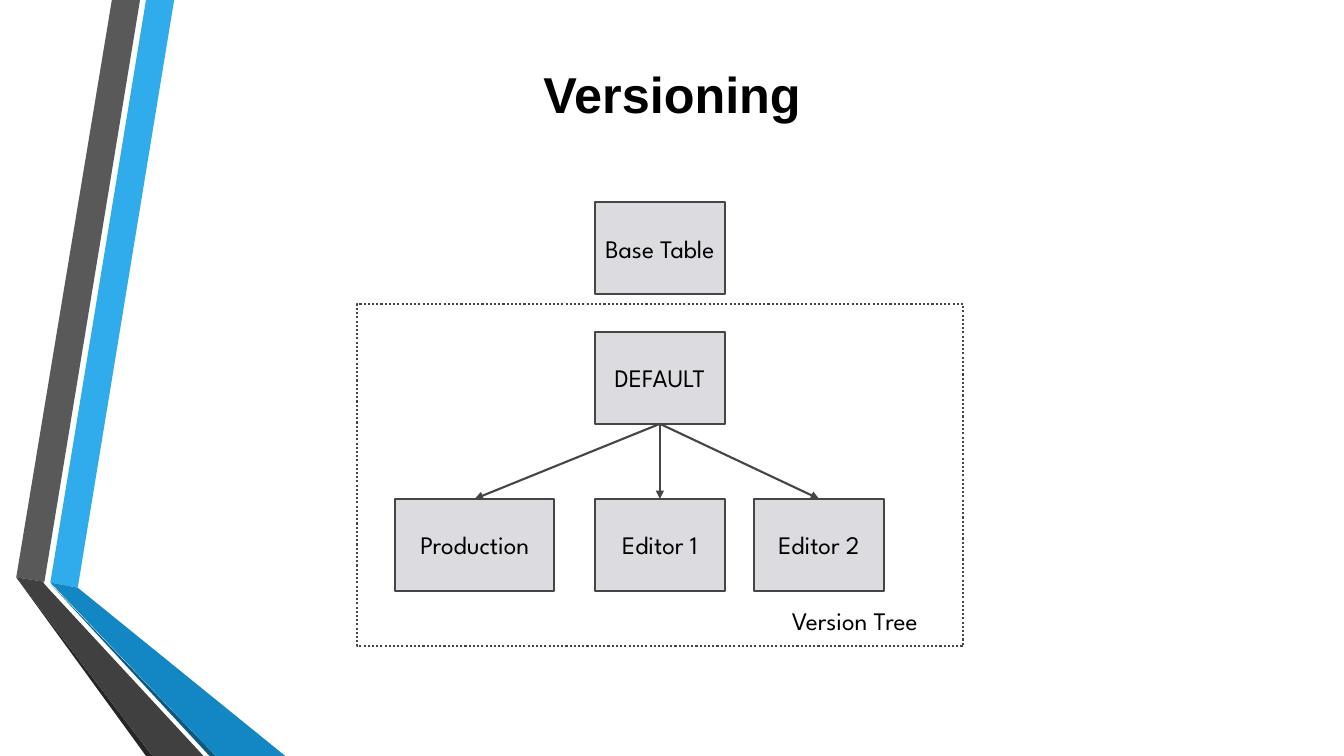
from dataclasses import dataclass

from lxml import etree
from pptx import Presentation
from pptx.dml.color import RGBColor
from pptx.enum.dml import MSO_LINE
from pptx.enum.shapes import MSO_CONNECTOR, MSO_SHAPE
from pptx.enum.text import MSO_ANCHOR, MSO_AUTO_SIZE, PP_ALIGN
from pptx.oxml.ns import qn
from pptx.util import Cm, Pt

DOT = MSO_LINE.ROUND_DOT
LINE = MSO_CONNECTOR.STRAIGHT
RECT = MSO_SHAPE.RECTANGLE
MID, TOP = MSO_ANCHOR.MIDDLE, MSO_ANCHOR.TOP
LEFT, CENTER = PP_ALIGN.LEFT, PP_ALIGN.CENTER
FIXED = MSO_AUTO_SIZE.NONE
BOTTOM_SIDE, TOP_SIDE = 2, 0


@dataclass(frozen=True)
class Theme:
    ink: str = "000000"
    edge: str = "454545"
    box: str = "DCDCE0"
    sky: str = "30ACEC"
    blue: str = "1287C3"
    navy: str = "0C5A82"
    gray: str = "595959"
    coal: str = "404040"
    dark: str = "262626"
    head: str = "Arial"
    body: str = "League Spartan"
    big: int = 36
    small: int = 18
    rule: float = 1.5


THEME = Theme()
WIDE, HIGH = 33.87, 19.05
TITLE = ("Versioning", (5.51, 0.76, 22.86, 3.18))
LABEL = ("Version Tree", (19.71, 15.01, 4.39, 1.27))
FRAME = (8.99, 7.67, 15.29, 8.61)
BOX_W, BOX_H = 3.28, 2.32
MID_X, ROW_Y = 14.99, 12.57
BASE = ("Base Table", MID_X, 5.1, BOX_W)
ROOT = ("DEFAULT", MID_X, 8.36, BOX_W)
LEAVES = [
    ("Production", 9.96, ROW_Y, 4.01),
    ("Editor 1", MID_X, ROW_Y, BOX_W),
    ("Editor 2", 19.0, ROW_Y, BOX_W),
]
BANDS = [
    (THEME.sky, [(1.27, 14.68), (1.96, 14.81), (4.39, 0), (3.68, 0)]),
    (THEME.gray, [(3.53, 0), (2.82, 0), (0.41, 14.55), (1.12, 14.66)]),
    (THEME.dark, [(0.41, 14.55), (3.68, HIGH), (3.84, HIGH)]),
    (THEME.navy, [(1.27, 14.71), (5.28, HIGH), (5.44, HIGH)]),
    (THEME.blue, [(1.27, 14.68), (5.44, HIGH), (7.19, HIGH), (1.96, 14.81)]),
    (THEME.coal, [(5.13, HIGH), (1.22, 14.83), (1.09, 14.68), (1.12, 14.66),
                  (0.41, 14.55), (3.84, HIGH)]),
]


def color(code):
    """Turn a hex code into a colour."""
    return RGBColor.from_string(code)


def place(item, area):
    """Set the place and size of a shape."""
    item.left, item.top, item.width, item.height = map(Cm, area)


def write(item, text, face, size, bold=False, align=CENTER, anchor=MID):
    """Put one formatted run into a shape."""
    frame = item.text_frame
    frame.word_wrap = True
    frame.auto_size = FIXED
    frame.vertical_anchor = anchor
    frame.margin_left = frame.margin_right = Cm(0.25)
    frame.margin_top = frame.margin_bottom = Cm(0.25)
    para = frame.paragraphs[0]
    para.alignment = align
    run = para.add_run()
    run.text = text
    run.font.name, run.font.size, run.font.bold = face, Pt(size), bold
    run.font.color.rgb = color(THEME.ink)


def stroke(line):
    """Draw a line in the edge style."""
    line.color.rgb = color(THEME.edge)
    line.width = Pt(THEME.rule)


def add_band(slide, fill, points):
    """Draw one part of the side ribbon."""
    start, *rest = [(Cm(x), Cm(y)) for x, y in points]
    pen = slide.shapes.build_freeform(*start, scale=1.0)
    pen.add_line_segments(rest, close=True)
    band = pen.convert_to_shape()
    band.shadow.inherit = False
    band.fill.solid()
    band.fill.fore_color.rgb = color(fill)
    band.line.fill.background()


def add_rect(slide, area):
    """Draw an outlined rectangle."""
    rect = slide.shapes.add_shape(RECT, *map(Cm, area))
    rect.shadow.inherit = False
    stroke(rect.line)
    return rect


def add_node(slide, text, left, top, width):
    """Draw one labelled box."""
    node = add_rect(slide, (left, top, width, BOX_H))
    node.fill.solid()
    node.fill.fore_color.rgb = color(THEME.box)
    write(node, text, THEME.body, THEME.small)
    return node


def add_arrow(slide, root, leaf):
    """Join the root to a leaf with an arrow."""
    arrow = slide.shapes.add_connector(LINE, 0, 0, 0, 0)
    arrow.begin_connect(root, BOTTOM_SIDE)
    arrow.end_connect(leaf, TOP_SIDE)
    stroke(arrow.line)
    etree.SubElement(arrow.line._get_or_add_ln(), qn("a:tailEnd"), type="triangle")
    etree.SubElement(arrow._element.spPr, qn("a:effectLst"))


def main():
    """Build and save the slide."""
    deck = Presentation()
    deck.slide_width, deck.slide_height = Cm(WIDE), Cm(HIGH)
    slide = deck.slides.add_slide(deck.slide_layouts[5])
    for fill, points in BANDS:
        add_band(slide, fill, points)
    text, area = TITLE
    place(slide.shapes.title, area)
    write(slide.shapes.title, text, THEME.head, THEME.big, bold=True)
    frame = add_rect(slide, FRAME)
    frame.fill.background()
    frame.line.dash_style = DOT
    add_node(slide, *BASE)
    root = add_node(slide, *ROOT)
    for leaf in LEAVES:
        add_arrow(slide, root, add_node(slide, *leaf))
    text, area = LABEL
    label = slide.shapes.add_textbox(*map(Cm, area))
    write(label, text, THEME.body, THEME.small, align=LEFT, anchor=TOP)
    deck.save("out.pptx")


if __name__ == "__main__":
    main()
